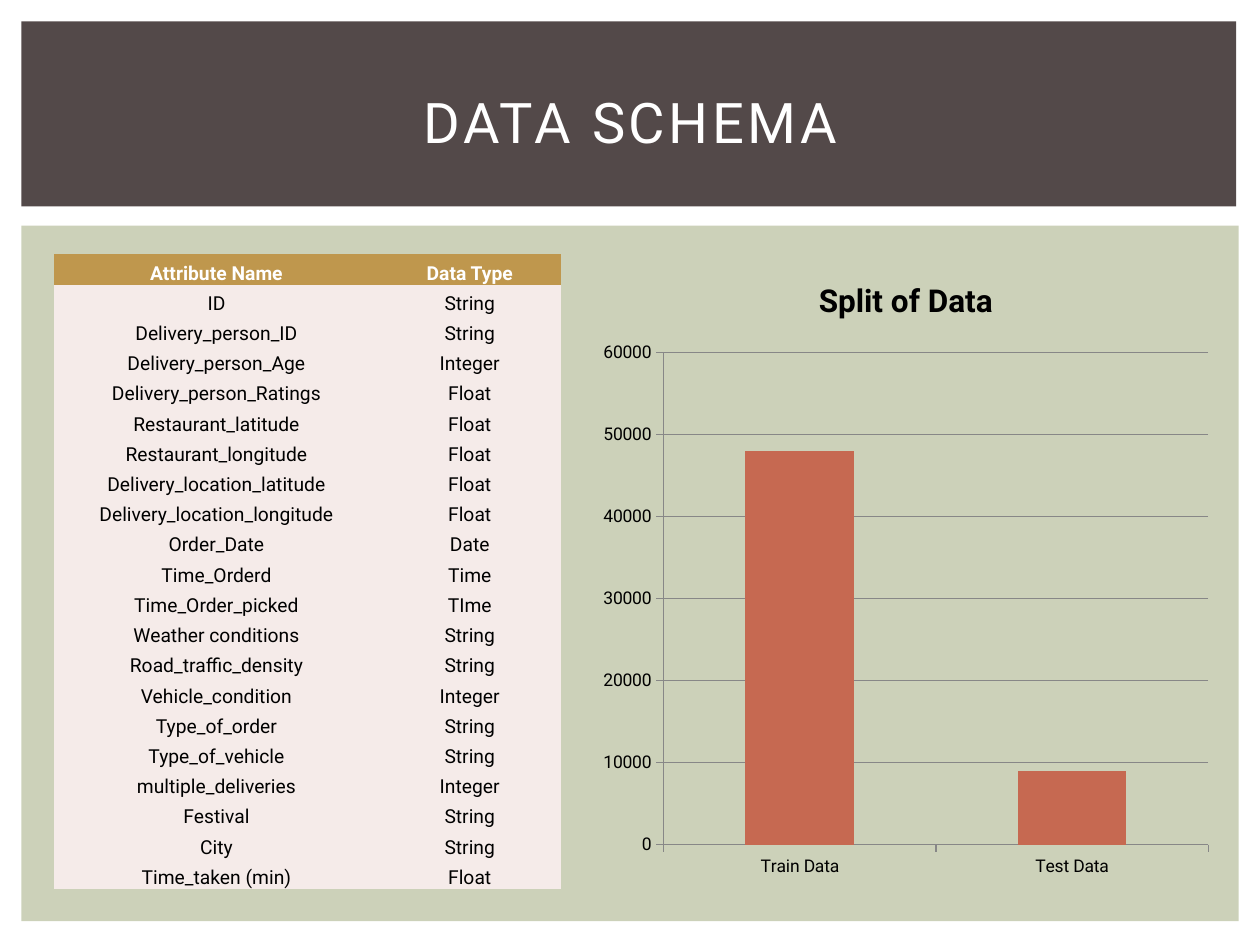
from pptx import Presentation, util as u
from pptx.chart.data import CategoryChartData
from pptx.dml.color import RGBColor
from pptx.enum import chart as charts, shapes, text

HUES = {
    "panel": "CCD1B9", "band": "534949", "head": "BF974D", "cell": "F5EBE9",
    "bar": "C66951", "grid": "878787", "white": "FFFFFF", "black": "000000",
}
ROWS = [
    ("Attribute Name", "Data Type"),
    ("ID", "String"),
    ("Delivery_person_ID", "String"),
    ("Delivery_person_Age", "Integer"),
    ("Delivery_person_Ratings", "Float"),
    ("Restaurant_latitude", "Float"),
    ("Restaurant_longitude", "Float"),
    ("Delivery_location_latitude", "Float"),
    ("Delivery_location_longitude", "Float"),
    ("Order_Date", "Date"),
    ("Time_Orderd", "Time"),
    ("Time_Order_picked", "TIme"),
    ("Weather conditions", "String"),
    ("Road_traffic_density", "String"),
    ("Vehicle_condition", "Integer"),
    ("Type_of_order", "String"),
    ("Type_of_vehicle", "String"),
    ("multiple_deliveries", "Integer"),
    ("Festival", "String"),
    ("City", "String"),
    ("Time_taken (min)", "Float"),
]
PLAIN = "{2D5ABB26-0587-4C30-8999-92F81FD0307C}"


class Deck:
    """Holds the style and the current slide, and adds elements to it."""

    def __init__(self, slide, face="Roboto"):
        self.slide, self.face = slide, face

    def hue(self, name):
        return RGBColor.from_string(HUES[name])

    def put(self, item, **vals):
        for key, val in vals.items():
            setattr(item, key, val)

    def paint(self, fill, name):
        fill.solid()
        fill.fore_color.rgb = self.hue(name)

    def style(self, font, size, name, bold=False):
        self.put(font, name=self.face, size=u.Pt(size), bold=bold)
        font.color.rgb = self.hue(name)

    def label(self, para, words, *look):
        para.alignment = text.PP_ALIGN.CENTER
        run = para.add_run()
        run.text = words
        self.style(run.font, *look)
        return run

    def box(self, area, name):
        rect = self.slide.shapes.add_shape(
            shapes.MSO_SHAPE.RECTANGLE, *map(u.Cm, area))
        rect.shadow.inherit = False
        rect.line.fill.background()
        self.paint(rect.fill, name)

    def title(self, area, words):
        frame = self.slide.shapes.add_textbox(*map(u.Cm, area)).text_frame
        self.put(frame, word_wrap=True, vertical_anchor=text.MSO_ANCHOR.MIDDLE)
        run = self.label(frame.paragraphs[0], words, 32, "white")
        run._r.get_or_add_rPr().set("spc", "200")

    def table(self, area, rows, wides):
        table = self.slide.shapes.add_table(
            len(rows), len(wides), *map(u.Cm, area)).table
        table._tbl.tblPr[0].text = PLAIN
        for col, wide in zip(table.columns, wides):
            col.width = u.Cm(wide)
        edge = u.Cm(0.03)
        for i, row in enumerate(rows):
            table.rows[i].height = u.Cm(area[3] / len(rows))
            back, ink = ("cell", "black") if i else ("head", "white")
            for j, words in enumerate(row):
                cell = table.cell(i, j)
                self.put(cell, margin_left=edge, margin_right=edge,
                         margin_top=edge, margin_bottom=0,
                         vertical_anchor=text.MSO_ANCHOR.BOTTOM)
                self.paint(cell.fill, back)
                self.label(cell.text_frame.paragraphs[0], words, 11, ink, i == 0)

    def chart(self, area, name, vals):
        data = CategoryChartData()
        data.categories = list(vals)
        data.add_series(name, list(vals.values()))
        chart = self.slide.shapes.add_chart(
            charts.XL_CHART_TYPE.COLUMN_CLUSTERED, *map(u.Cm, area), data).chart
        self.put(chart, has_legend=False, has_title=True)
        self.style(chart.font, 10, "black")
        head = chart.chart_title.text_frame.paragraphs[0]
        self.label(head, name, 18, "black", True)
        plot = chart.plots[0]
        self.put(plot, gap_width=150, vary_by_categories=False)
        self.paint(plot.series[0].format.fill, "bar")
        ticks = dict(major_tick_mark=charts.XL_TICK_MARK.OUTSIDE,
                     minor_tick_mark=charts.XL_TICK_MARK.NONE)
        self.put(chart.category_axis, **ticks)
        axis = chart.value_axis
        self.put(axis, has_major_gridlines=True, minimum_scale=0,
                 maximum_scale=60000, major_unit=10000, **ticks)
        for part in (chart.category_axis, axis, axis.major_gridlines):
            part.format.line.width = u.Pt(0.75)
            part.format.line.color.rgb = self.hue("grid")


def main():
    show = Presentation()
    show.slide_width, show.slide_height = u.Cm(25.4), u.Cm(19.05)
    deck = Deck(show.slides.add_slide(show.slide_layouts[6]))
    deck.box((0.43, 4.55, 24.54, 14.02), "panel")
    deck.box((0.43, 0.43, 24.49, 3.73), "band")
    deck.table((1.09, 5.13, 10.21, 12.8), ROWS, (6.55, 3.66))
    deck.title((1.07, 0.99, 23.29, 2.92), "DATA SCHEMA")
    deck.chart((11.91, 5.13, 12.7, 12.8), "Split of Data",
               {"Train Data": 48000, "Test Data": 9000})
    show.save("out.pptx")


if __name__ == "__main__":
    main()
